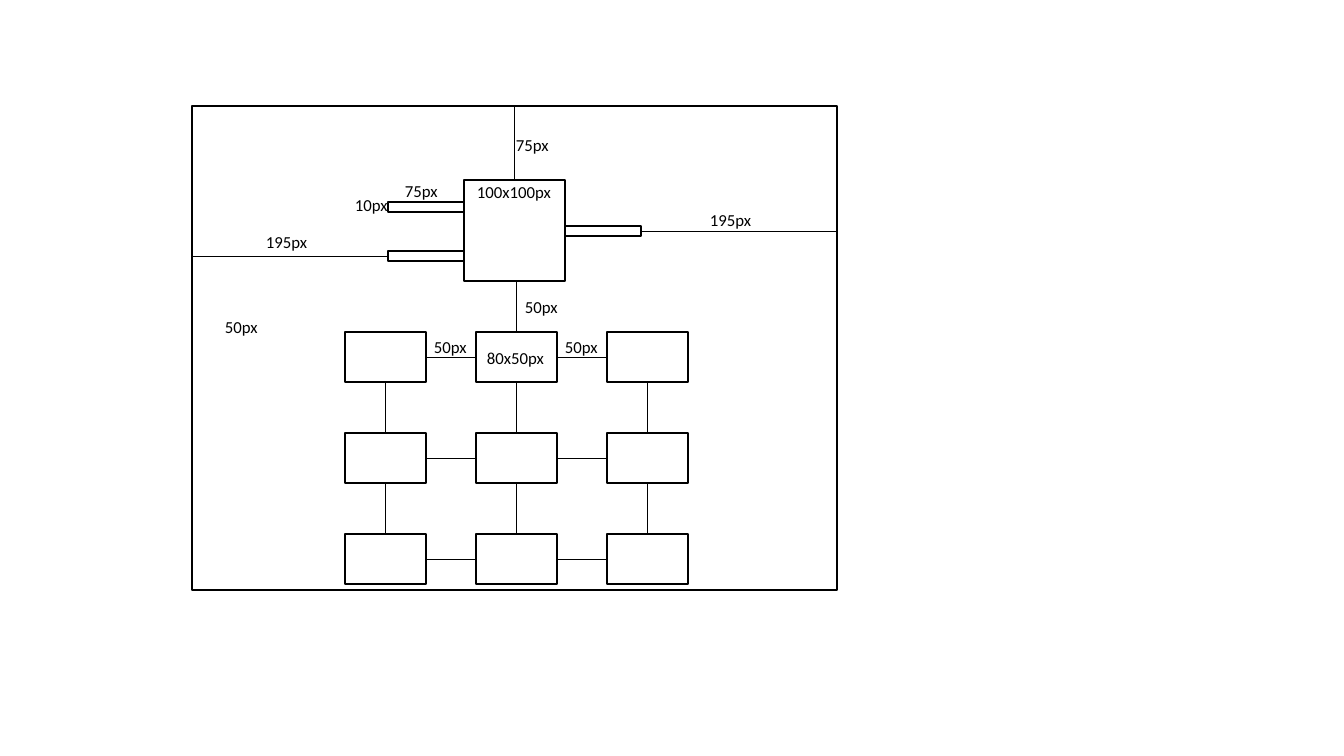
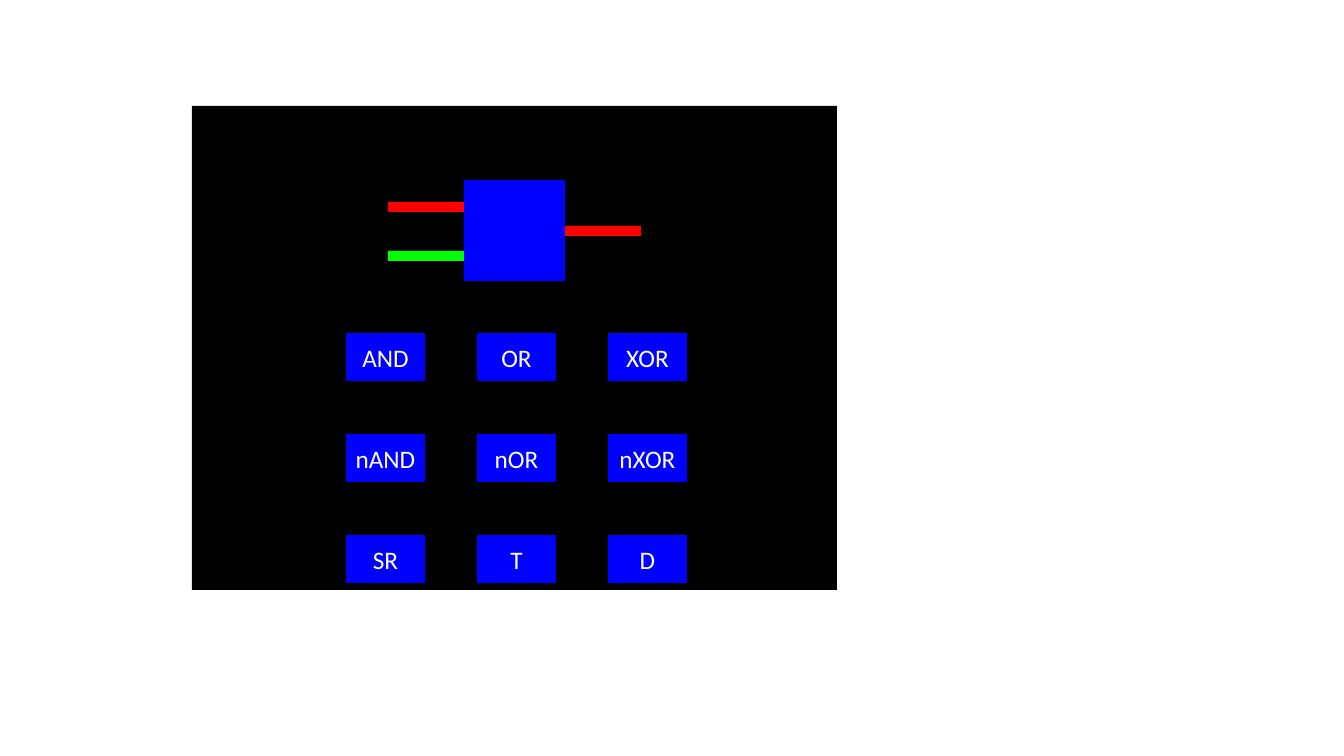
from lxml import etree
from pptx import Presentation
from pptx.dml.color import RGBColor
from pptx.enum.shapes import MSO_CONNECTOR, MSO_SHAPE
from pptx.enum.text import MSO_ANCHOR, PP_ALIGN
from pptx.oxml.ns import qn
from pptx.util import Pt

RECT, STRAIGHT = MSO_SHAPE.RECTANGLE, MSO_CONNECTOR.STRAIGHT
CENTER, MIDDLE = PP_ALIGN.CENTER, MSO_ANCHOR.MIDDLE
PX = 12192000 / 1344
FONT = "Calibri"
COLORS = {name: RGBColor.from_string(value) for name, value in {
    "white": "FFFFFF", "black": "000000", "blue": "0000FF",
    "red": "FF0000", "green": "00FF00"}.items()}

# Layout shared by the measured sketch and the coloured screen
FRAME = (192, 106, 645, 484)
GATE = (464, 180, 101, 101)
PINS = [((388, 202, 76, 10), "red"),
        ((388, 251, 76, 10), "green"),
        ((565, 226, 76, 10), "red")]
BUTTON_W, BUTTON_H = 81, 50
COLUMNS = [345 + 131 * i for i in range(3)]
ROWS = [332 + 101 * i for i in range(3)]
BUTTONS = [["AND", "OR", "XOR"], ["nAND", "nOR", "nXOR"], ["SR", "T", "D"]]


def px(*lengths):
    """Turn pixel lengths into EMU."""
    return [round(n * PX) for n in lengths]


def add_box(s, at, fill, outlined, text=""):
    """Add a filled rectangle with an optional black outline and label."""
    sp = s.shapes.add_shape(RECT, *px(*at))
    sp.shadow.inherit = False
    sp.fill.solid()
    sp.fill.fore_color.rgb = COLORS[fill]
    if outlined:
        sp.line.color.rgb = COLORS["black"]
        sp.line.width = Pt(1)
    else:
        sp.line.fill.background()
    if text:
        tf = sp.text_frame
        tf.margin_left = tf.margin_right = 0
        tf.vertical_anchor = MIDDLE
        p = tf.paragraphs[0]
        p.text = text
        p.alignment = CENTER
        p.font.name, p.font.size = FONT, Pt(18)
        p.font.color.rgb = COLORS["white"]


prs = Presentation()
prs.slide_width, prs.slide_height = px(1344, 756)
blank = prs.slide_layouts[6]
sketch, screen = prs.slides.add_slide(blank), prs.slides.add_slide(blank)

for s, colored in ((sketch, False), (screen, True)):
    add_box(s, FRAME, "black" if colored else "white", not colored)
    add_box(s, GATE, "blue" if colored else "white", not colored)
    for at, color in PINS:
        add_box(s, at, color if colored else "white", not colored)
    for y, names in zip(ROWS, BUTTONS):
        for x, name in zip(COLUMNS, names):
            add_box(s, (x, y, BUTTON_W, BUTTON_H),
                    "blue" if colored else "white", True,
                    name if colored else "")

# Distance lines on the sketch
lines = [(641, 231, 837, 231), (192, 256, 388, 256),
         (514, 180, 514, 106), (516, 281, 516, 332)]
for y in ROWS:
    for left, right in zip(COLUMNS, COLUMNS[1:]):
        middle = y + BUTTON_H / 2
        lines.append((left + BUTTON_W, middle, right, middle))
for x in COLUMNS:
    for upper, lower in zip(ROWS, ROWS[1:]):
        middle = x + BUTTON_W / 2
        lines.append((middle, lower, middle, upper + BUTTON_H))
for ends in lines:
    line = sketch.shapes.add_connector(STRAIGHT, *px(*ends))
    line.line.color.rgb = COLORS["black"]
    line.line.width = Pt(0.5)
    etree.SubElement(line._element.spPr, qn("a:effectLst"))

# Measurements: text, left, top, width
for text, x, y, width in [
        ("10px", 345, 190, 73), ("75px", 395, 176, 73),
        ("100x100px", 467, 177, 100), ("195px", 700, 205, 73),
        ("195px", 256, 227, 73), ("75px", 506, 130, 73),
        ("80x50px", 477, 343, 84), ("50px", 515, 292, 58),
        ("50px", 215, 312, 58), ("50px", 555, 332, 58),
        ("50px", 424, 332, 58)]:
    tf = sketch.shapes.add_textbox(*px(x, y, width, 30)).text_frame
    tf.word_wrap = True
    p = tf.paragraphs[0]
    p.text = text
    p.font.name, p.font.size = FONT, Pt(12)
    p.font.color.rgb = COLORS["black"]

prs.save("out.pptx")
